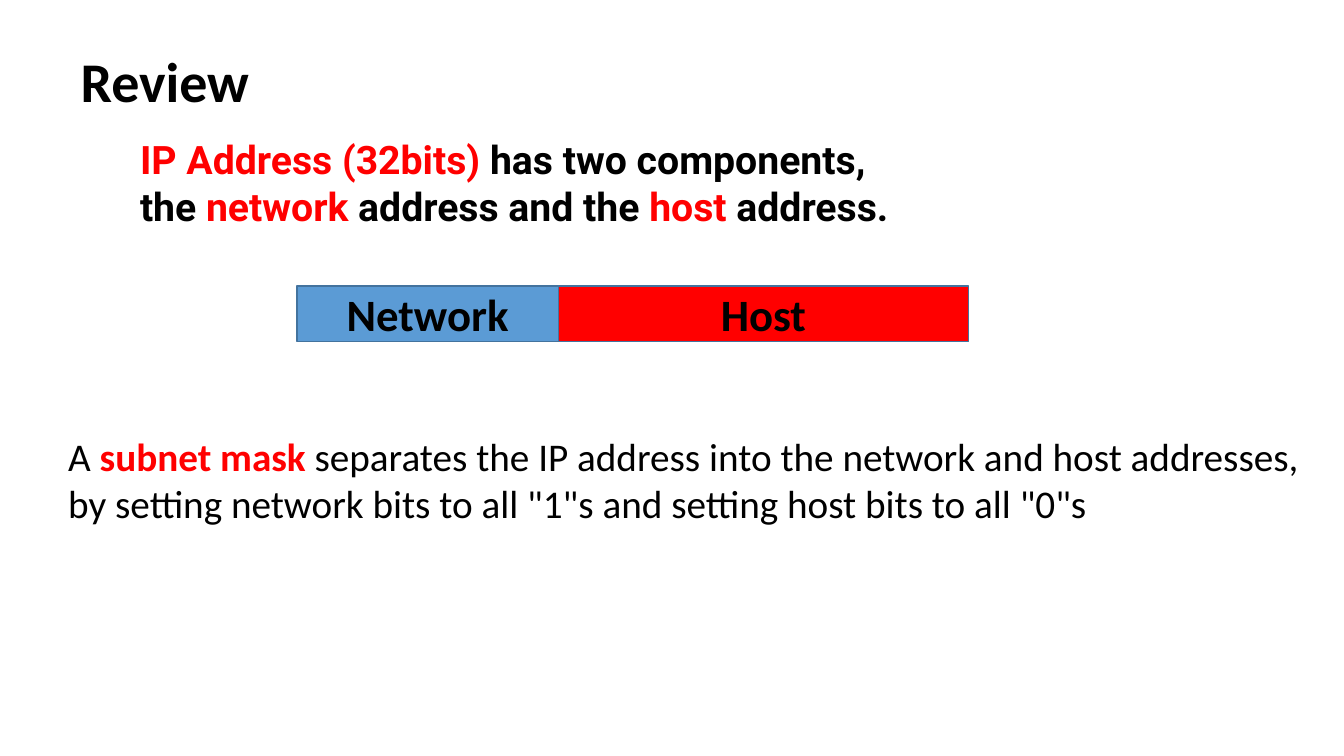
from pptx import Presentation
from pptx.dml.color import RGBColor
from pptx.enum.shapes import MSO_SHAPE
from pptx.enum.text import MSO_ANCHOR, MSO_AUTO_SIZE, PP_ALIGN
from pptx.util import Cm, Pt

RECTANGLE = MSO_SHAPE.RECTANGLE
TOP, MIDDLE = MSO_ANCHOR.TOP, MSO_ANCHOR.MIDDLE
LEFT, CENTER = PP_ALIGN.LEFT, PP_ALIGN.CENTER
FIT_SHAPE, NO_FIT = MSO_AUTO_SIZE.SHAPE_TO_FIT_TEXT, MSO_AUTO_SIZE.NONE

TITLE_ONLY = 5
BLACK, RED, BLUE, OUTLINE = "000000", "FF0000", "5B9BD5", "43739E"


def color(hex_code):
    return RGBColor.from_string(hex_code)


def add_run(paragraph, text, size, font="Calibri", fill=BLACK, bold=False):
    run = paragraph.add_run()
    run.text = text
    run.font.name = font
    run.font.size = Pt(size)
    run.font.bold = bold
    run.font.color.rgb = color(fill)


def add_title(slide, text):
    title = slide.shapes.title
    title.left, title.top = Cm(1.78), Cm(1.04)
    title.width, title.height = Cm(16.33), Cm(1.96)
    frame = title.text_frame
    frame.auto_size = NO_FIT
    frame.vertical_anchor = TOP
    frame.paragraphs[0].alignment = LEFT
    add_run(frame.paragraphs[0], text, 40, bold=True)


def add_statement(slide, left, top, width, lines, font):
    """Add a text box; each line is a list of (text, colour, bold)."""
    box = slide.shapes.add_textbox(Cm(left), Cm(top), Cm(width), Cm(2.64))
    frame = box.text_frame
    frame.word_wrap = True
    frame.auto_size = FIT_SHAPE
    for index, line in enumerate(lines):
        paragraph = frame.add_paragraph() if index else frame.paragraphs[0]
        for text, fill, bold in line:
            add_run(paragraph, text, 28, font, fill, bold)


def add_address_part(slide, label, left, width, fill):
    part = slide.shapes.add_shape(
        RECTANGLE, Cm(left), Cm(7.21), Cm(width), Cm(1.4))
    part.shadow.inherit = False
    part.fill.solid()
    part.fill.fore_color.rgb = color(fill)
    part.line.color.rgb = color(OUTLINE)
    part.line.width = Pt(1)
    frame = part.text_frame
    frame.vertical_anchor = MIDDLE
    frame.paragraphs[0].alignment = CENTER
    add_run(frame.paragraphs[0], label, 32, bold=True)


def main():
    presentation = Presentation()
    presentation.slide_width = Cm(33.87)
    presentation.slide_height = Cm(19.05)
    slide = presentation.slides.add_slide(
        presentation.slide_layouts[TITLE_ONLY])

    add_title(slide, "Review")

    components = [
        [("IP Address (32bits) ", RED, True),
         ("has two components,", BLACK, True)],
        [("the ", BLACK, True), ("network", RED, True),
         (" address and the ", BLACK, True), ("host", RED, True),
         (" address.", BLACK, True)],
    ]
    add_statement(slide, 3.28, 3.28, 34.26, components, "Roboto")

    left = 7.49
    for label, width, fill in (("Network", 6.58, BLUE), ("Host", 10.34, RED)):
        add_address_part(slide, label, left, width, fill)
        left += width

    subnet_mask = [
        [("A ", BLACK, False), ("subnet mask ", RED, True),
         ("separates the IP address into the network and host addresses, "
          'by setting network bits to all "1"s and setting host bits '
          'to all "0"s', BLACK, False)],
    ]
    add_statement(slide, 1.47, 10.77, 32.21, subnet_mask, "Calibri")

    presentation.save("out.pptx")


if __name__ == "__main__":
    main()
